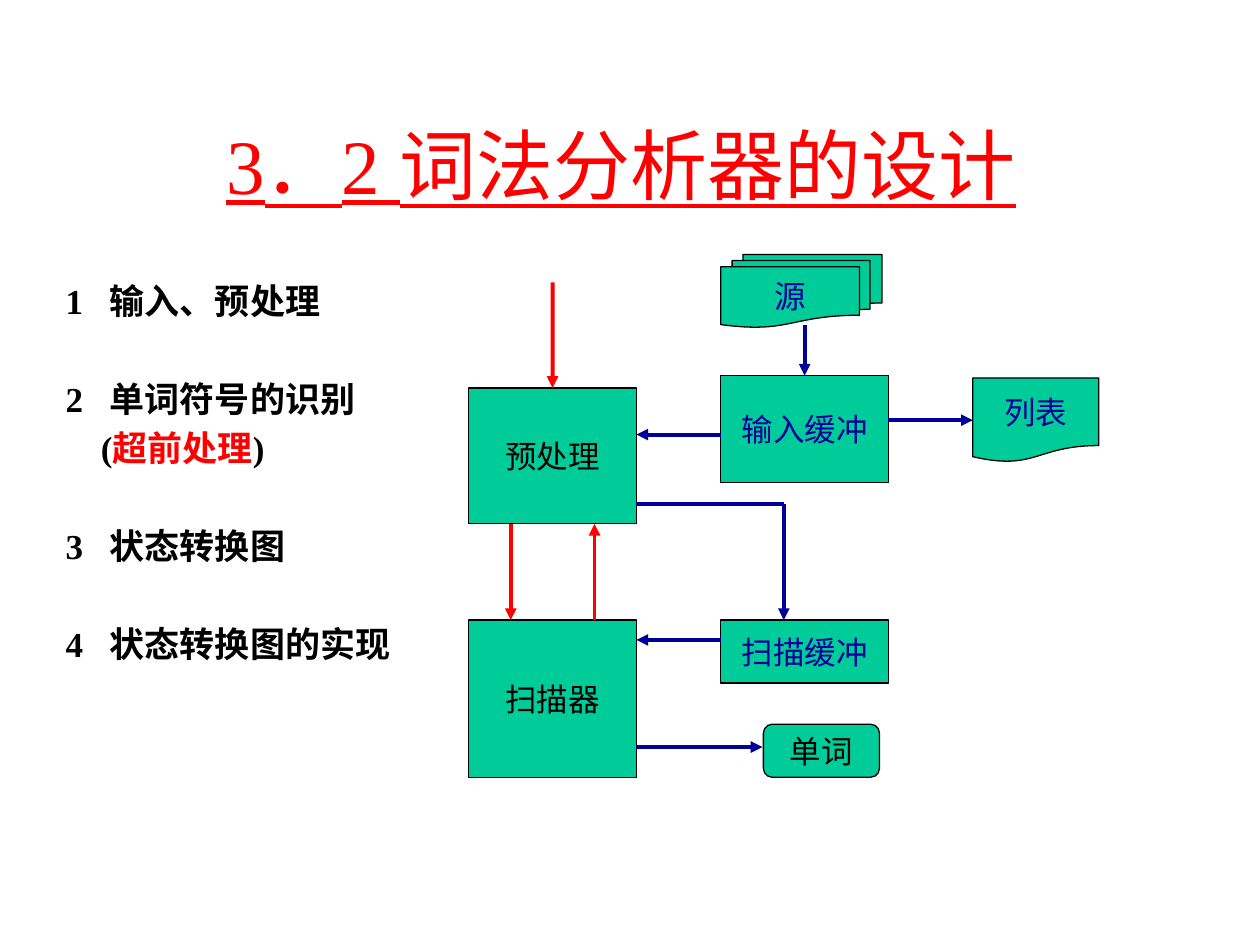
"""Build the slide on the design of a lexical analyser."""
from lxml.etree import SubElement
from pptx import Presentation
from pptx.dml.color import RGBColor
from pptx.enum.shapes import MSO_CONNECTOR, MSO_SHAPE
from pptx.enum.text import MSO_ANCHOR, MSO_AUTO_SIZE, PP_ALIGN
from pptx.oxml.ns import qn
from pptx.util import Cm, Pt

FONT = "Times New Roman"
COLORS = {"red": "FF0000", "black": "000000", "navy": "000099", "green": "00CC99"}

TITLE_AREA = (1.9, 1.7, 21.6, 3.18)
BODY_AREA = (1.07, 5.51, 22.66, 12.9)
TITLE = [("3．2 词法分析器的设计", "red", True), (" ", "black", False)]

NUMBER_GAP = 0.89
TOPICS = [
    {"runs": [("1\t输入、预处理", "black")], "before": 0},
    {"runs": [("2\t单词符号的识别", "black")], "before": 32},
    {"runs": [("(", "black"), ("超前处理", "red"), (")", "black")], "before": 4, "indent": 0.71},
    {"runs": [("3\t状态转换图", "black")], "before": 32},
    {"runs": [("4\t状态转换图的实现", "black")], "before": 32},
]

LEFT, MIDDLE, WIDTH = 9.45, 14.53, 3.38
LEFT_END, MIDDLE_END = LEFT + WIDTH, MIDDLE + WIDTH
NODES = [
    ("源", MSO_SHAPE.FLOWCHART_MULTIDOCUMENT, "navy", (MIDDLE, 5.13, 3.25, 1.47)),
    ("列表", MSO_SHAPE.FLOWCHART_DOCUMENT, "navy", (19.61, 7.62, 2.54, 1.7)),
    ("输入缓冲", MSO_SHAPE.RECTANGLE, "navy", (MIDDLE, 7.57, WIDTH, 2.16)),
    ("预处理", MSO_SHAPE.RECTANGLE, "black", (LEFT, 7.82, WIDTH, 2.74)),
    ("扫描器", MSO_SHAPE.RECTANGLE, "black", (LEFT, 12.5, WIDTH, 3.18)),
    ("扫描缓冲", MSO_SHAPE.RECTANGLE, "navy", (MIDDLE, 12.5, WIDTH, 1.27)),
    ("单词", MSO_SHAPE.ROUNDED_RECTANGLE, "black", (15.39, 14.6, 2.34, 1.07)),
]
FLOWS = [
    {"points": (16.22, 6.55, 16.22, 7.57), "color": "navy", "end": ("输入缓冲", 0)},
    {"points": (MIDDLE_END, 8.47, 19.61, 8.47), "color": "navy", "end": ("列表", 1)},
    {"points": (MIDDLE, 8.76, LEFT_END, 8.76), "color": "navy"},
    {"points": (LEFT_END, 10.16, 15.8, 10.16), "color": "navy", "arrow": False},
    {"points": (15.8, 10.16, 15.8, 12.5), "color": "navy"},
    {"points": (11.14, 5.69, 11.14, 7.82), "color": "red", "end": ("预处理", 0)},
    {"points": (LEFT + WIDTH / 4, 10.56, LEFT + WIDTH / 4, 12.5), "color": "red"},
    {"points": (LEFT + WIDTH * 3 / 4, 12.5, LEFT + WIDTH * 3 / 4, 10.56), "color": "red"},
    {"points": (MIDDLE, 12.9, LEFT_END, 12.9), "color": "navy"},
    {"points": (LEFT_END, 15.06, 15.37, 15.06), "color": "navy"},
]


def rgb(name):
    return RGBColor.from_string(COLORS[name])


def lengths(values):
    return [Cm(value) for value in values]


def place(box, area):
    box.left, box.top, box.width, box.height = lengths(area)


def add_span(para, text, size, color, bold=False, underline=False):
    span = para.add_run()
    span.text = text
    font = span.font
    font.name, font.size, font.bold, font.underline = FONT, Pt(size), bold, underline
    font.color.rgb = rgb(color)


def fill_title(box):
    place(box, TITLE_AREA)
    frame = box.text_frame
    frame.auto_size = MSO_AUTO_SIZE.NONE
    frame.vertical_anchor = MSO_ANCHOR.MIDDLE
    para = frame.paragraphs[0]
    para.alignment = PP_ALIGN.CENTER
    for text, color, underline in TITLE:
        add_span(para, text, 44, color, underline=underline)


def fill_body(box):
    place(box, BODY_AREA)
    frame = box.text_frame
    frame.auto_size = MSO_AUTO_SIZE.NONE
    for index, topic in enumerate(TOPICS):
        para = frame.add_paragraph() if index else frame.paragraphs[0]
        para.alignment = PP_ALIGN.JUSTIFY
        para.space_before = Pt(topic["before"])
        properties = para._p.get_or_add_pPr()
        hanging = "indent" not in topic
        properties.set("marL", str(Cm(topic.get("indent", NUMBER_GAP))))
        properties.set("indent", str(-Cm(NUMBER_GAP) if hanging else 0))
        SubElement(properties, qn("a:buNone"))
        for text, color in topic["runs"]:
            add_span(para, text, 20, color, bold=True)


def add_node(page, text, kind, color, area):
    box = page.shapes.add_shape(kind, *lengths(area))
    box.shadow.inherit = False
    box.fill.solid()
    box.fill.fore_color.rgb = rgb("green")
    box.line.color.rgb = rgb("black")
    box.line.width = Pt(0.75)
    frame = box.text_frame
    frame.word_wrap = False
    frame.vertical_anchor = MSO_ANCHOR.MIDDLE
    para = frame.paragraphs[0]
    para.alignment = PP_ALIGN.CENTER
    add_span(para, text, 18, color)
    return box


def add_flow(page, flow, boxes):
    connector = page.shapes.add_connector(MSO_CONNECTOR.STRAIGHT, *lengths(flow["points"]))
    if "end" in flow:
        name, side = flow["end"]
        connector.end_connect(boxes[name], side)
    connector.line.color.rgb = rgb(flow["color"])
    connector.line.width = Pt(2.25)
    if flow.get("arrow", True):
        SubElement(connector.line._get_or_add_ln(), qn("a:tailEnd"), type="triangle")
    SubElement(connector._element.spPr, qn("a:effectLst"))


def main():
    deck = Presentation()
    deck.slide_width, deck.slide_height = Cm(25.4), Cm(19.05)
    page = deck.slides.add_slide(deck.slide_layouts[1])
    fill_title(page.shapes.title)
    fill_body(page.placeholders[1])
    boxes = {node[0]: add_node(page, *node) for node in NODES}
    for flow in FLOWS:
        add_flow(page, flow, boxes)
    deck.save("out.pptx")


if __name__ == "__main__":
    main()
